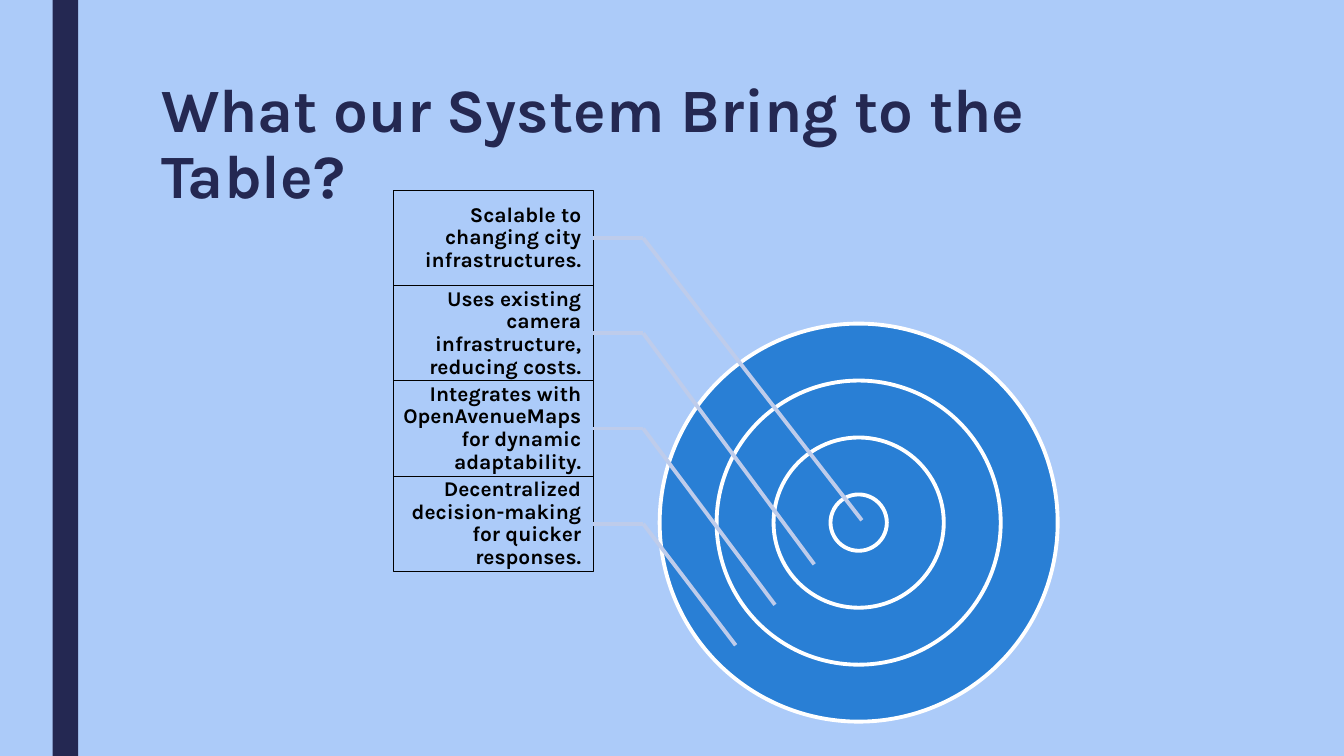
"""Builds a slide with a ringed target and four linked benefit labels."""
from pptx import Presentation, util as u
from pptx.dml.color import RGBColor
from pptx.enum import shapes, text
from pptx.oxml.ns import qn
from lxml import etree

HUES = {"sky": "ACCBF9", "navy": "242852", "ring": "297FD5",
        "white": "FFFFFF", "black": "000000", "link": "BECCEB"}
LABELS = [
    ("Scalable to changing city infrastructures.", (21.72, 13.11)),
    ("Uses existing camera infrastructure, reducing costs.", (20.52, 14.22)),
    ("Integrates with OpenAvenueMaps for dynamic adaptability.", (19.53, 15.24)),
    ("Decentralized decision-making for quicker responses.", (18.54, 16.26)),
]


def hue(name):
    return RGBColor.from_string(HUES[name])


def stroke(line, name, width):
    line.color.rgb = hue(name)
    line.width = u.Pt(width)


def shape(slide, kind, box, fill=None, edge=None, width=0.75):
    item = slide.shapes.add_shape(kind, *map(u.Cm, box))
    item.shadow.inherit = False
    if fill:
        item.fill.solid()
        item.fill.fore_color.rgb = hue(fill)
    else:
        item.fill.background()
    if edge:
        stroke(item.line, edge, width)
    else:
        item.line.fill.background()
    return item


def write(item, words, size, color, align, space):
    frame = item.text_frame
    frame.word_wrap = True
    para = frame.paragraphs[0]
    para.alignment = align
    para.line_spacing = space
    run = para.add_run()
    run.text = words
    run.font.name = "Karla"
    run.font.size = u.Pt(size)
    run.font.bold = True
    run.font.color.rgb = hue(color)
    return frame


def title(slide, words):
    box = slide.shapes.add_textbox(*map(u.Cm, (3.81, 1.9, 26.67, 4.11)))
    frame = write(box, words, 44, "navy", text.PP_ALIGN.LEFT, 0.89)
    frame.vertical_anchor = text.MSO_ANCHOR.TOP


def rings(slide, x, y, size, step, count):
    for i in range(count):
        wide = size - i * step
        box = (x - wide / 2, y - wide / 2, wide, wide)
        shape(slide, shapes.MSO_SHAPE.OVAL, box, "ring", "white", 2.75)


def label(slide, words, box):
    item = shape(slide, shapes.MSO_SHAPE.RECTANGLE, box, edge="black")
    frame = write(item, words, 15, "black", text.PP_ALIGN.RIGHT, 0.9)
    frame.vertical_anchor = text.MSO_ANCHOR.MIDDLE
    frame.margin_left = frame.margin_top = frame.margin_bottom = u.Cm(0.05)
    frame.margin_right = u.Cm(0.3)


def link(slide, start, end):
    line = slide.shapes.add_connector(
        shapes.MSO_CONNECTOR.STRAIGHT, *map(u.Cm, start + end))
    stroke(line.line, "link", 2.75)
    etree.SubElement(line._element.spPr, qn("a:effectLst"))


def main():
    deck = Presentation()
    deck.slide_width, deck.slide_height = u.Cm(33.87), u.Cm(19.05)
    slide = deck.slides.add_slide(deck.slide_layouts[6])
    slide.background.fill.solid()
    slide.background.fill.fore_color.rgb = hue("sky")
    shape(slide, shapes.MSO_SHAPE.RECTANGLE, (1.33, 0, 0.64, 19.05), "navy")
    title(slide, "What our System Bring to the Table?")
    rings(slide, 21.64, 13.17, 10.03, 2.87, 4)
    left, top, wide, high = 9.92, 4.8, 5.03, 2.4
    edge, bend = left + wide, 16.21
    for i, (words, tip) in enumerate(LABELS):
        y = top + i * high
        mid = y + high / 2
        label(slide, words, (left, y, wide, high))
        link(slide, (edge, mid), (bend, mid))
        link(slide, tip, (bend, mid))
    deck.save("out.pptx")


if __name__ == "__main__":
    main()
